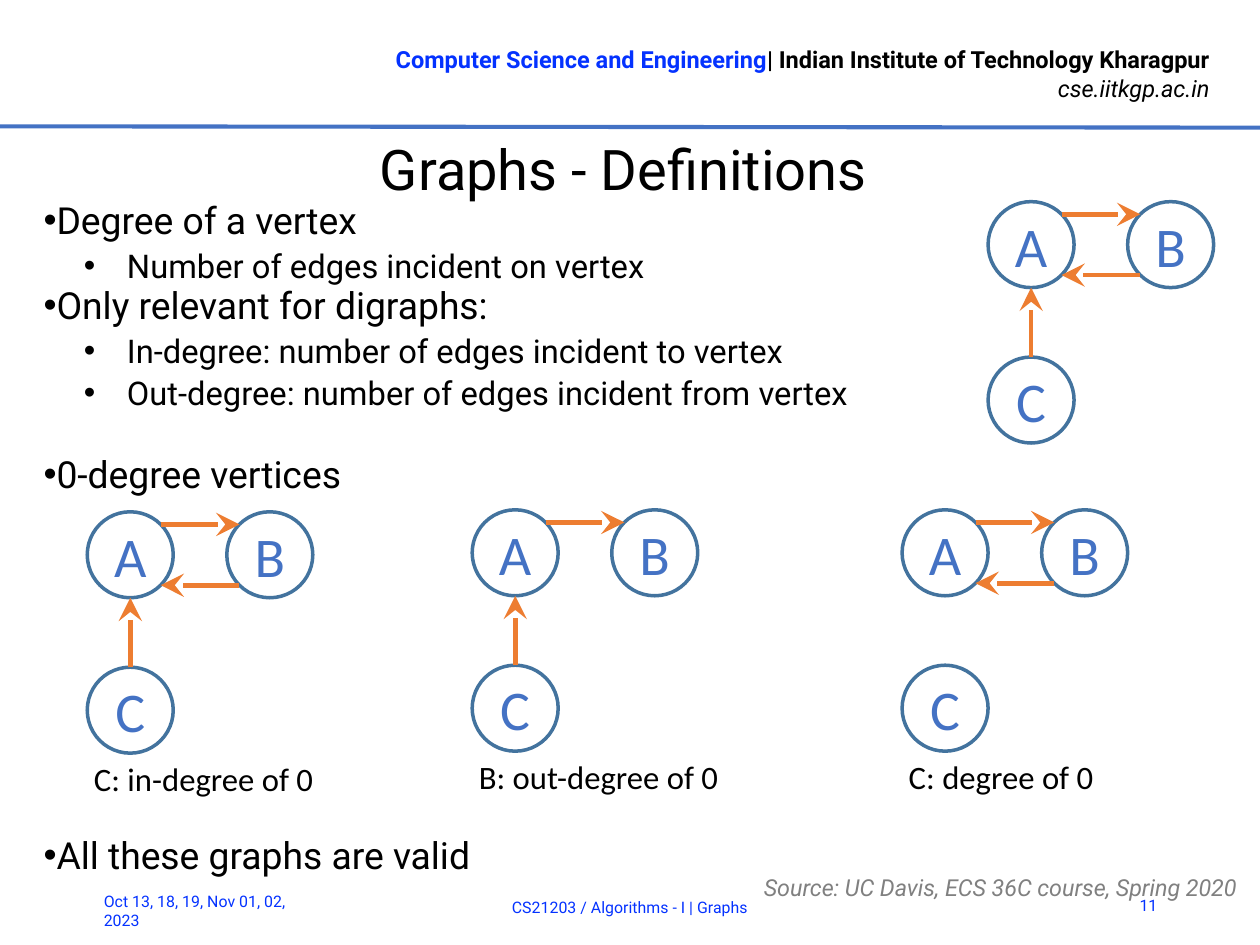
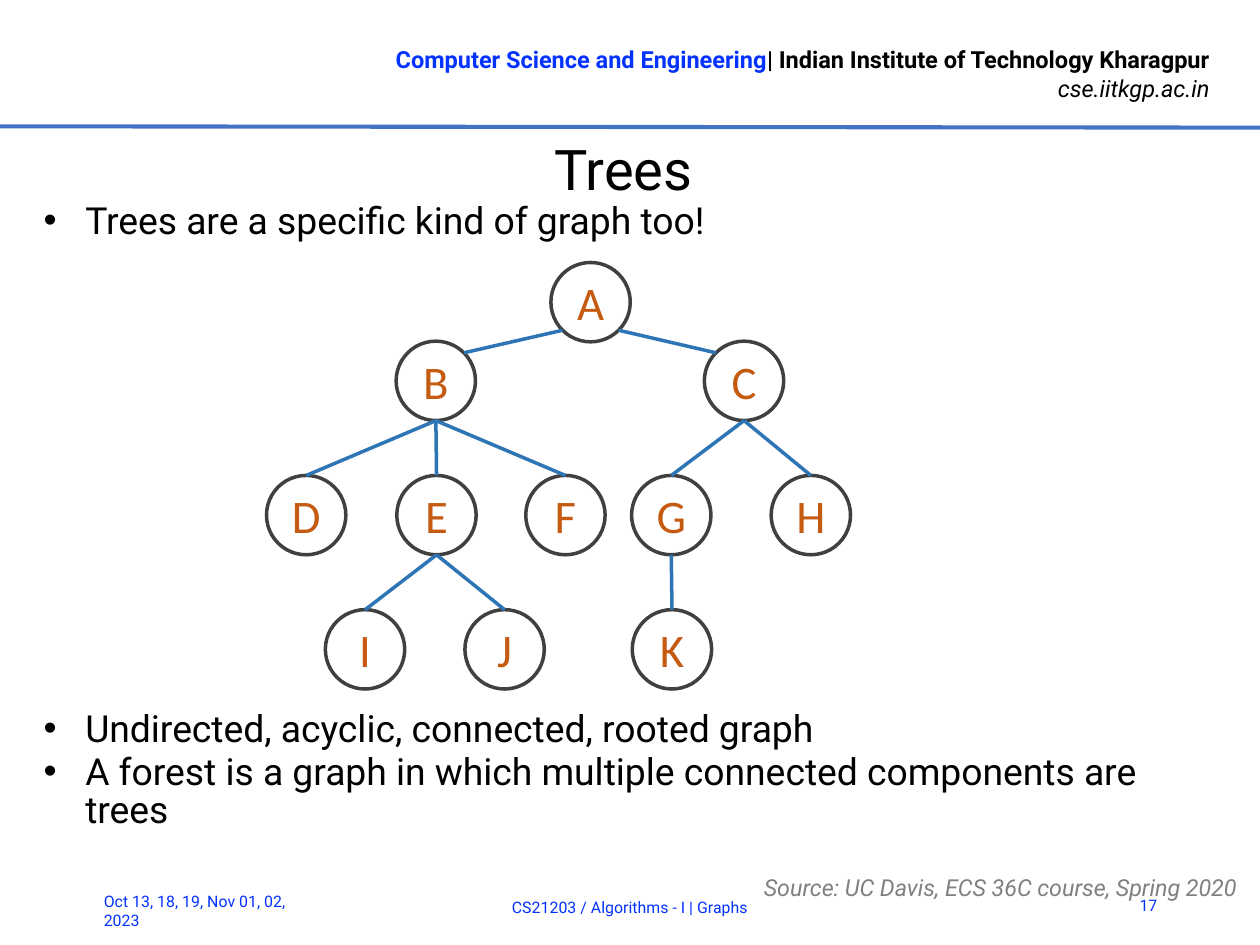
from math import cos, radians, sin

from lxml.etree import SubElement
from pptx import Presentation
from pptx.dml.color import RGBColor
from pptx.enum.shapes import MSO_CONNECTOR, MSO_SHAPE
from pptx.enum.text import MSO_ANCHOR, PP_ALIGN
from pptx.oxml.ns import qn
from pptx.util import Cm, Pt

BLACK = RGBColor(0x00, 0x00, 0x00)
GRAY = RGBColor(0x80, 0x80, 0x80)
LINK_BLUE = RGBColor(0x04, 0x32, 0xFF)
ACCENT_BLUE = RGBColor(0x44, 0x72, 0xC4)
RING_BLUE = RGBColor(0x43, 0x73, 0x9E)
ARROW_ORANGE = RGBColor(0xED, 0x7D, 0x31)
TREE_RING = RGBColor(0x40, 0x40, 0x40)
TREE_LETTER = RGBColor(0xC5, 0x5A, 0x11)
TREE_EDGE = RGBColor(0x2E, 0x75, 0xB6)

BODY_FONT = "Roboto"
NODE_FONT = "Calibri"
SLIDE_WIDTH, SLIDE_HEIGHT = Cm(19.05), Cm(14.29)
BODY_LEFT, BODY_TOP, BODY_STEP = Cm(0.41), Cm(2.97), Cm(0.64)

TOP, BOTTOM = 270, 90
TOP_RIGHT, BOTTOM_RIGHT, BOTTOM_LEFT, TOP_LEFT = 315, 45, 135, 225

TIGHT = (Cm(0), Cm(-0.66), 16)
NESTED = (Cm(1.26), Cm(-0.65), 14)
HANGING = (Cm(0.63), Cm(-0.63), 16)

A_TO_B = ("A", TOP_RIGHT, "B", TOP_LEFT)
B_TO_A = ("B", BOTTOM_LEFT, "A", BOTTOM_RIGHT)
C_TO_A = ("C", TOP, "A", BOTTOM)

TREE_ROWS = [
    (Cm(0), {"A": Cm(4.3)}),
    (Cm(1.19), {"B": Cm(1.96), "C": Cm(6.62)}),
    (Cm(3.22), {"D": Cm(0), "E": Cm(1.97), "F": Cm(3.92), "G": Cm(5.52), "H": Cm(7.63)}),
    (Cm(5.25), {"I": Cm(0.89), "J": Cm(3), "K": Cm(5.53)}),
]
TREE_EDGES = [("A", BOTTOM_LEFT, "B", TOP_RIGHT), ("A", BOTTOM_RIGHT, "C", TOP_LEFT)] + [
    (parent, BOTTOM, child, TOP)
    for parent, children in {"B": "DEF", "C": "GH", "E": "IJ", "G": "K"}.items()
    for child in children
]


def add_run(paragraph, text, size, color=BLACK, name=BODY_FONT, bold=False, italic=False):
    run = paragraph.add_run()
    run.text = text
    font = run.font
    font.name, font.size, font.bold, font.italic = name, Pt(size), bold, italic
    font.color.rgb = color


def add_box(slide, left, top, width, height, anchor=MSO_ANCHOR.TOP):
    frame = slide.shapes.add_textbox(left, top, width, height).text_frame
    frame.word_wrap = True
    frame.vertical_anchor = anchor
    return frame


def add_label(slide, box, text, size, align=PP_ALIGN.LEFT, anchor=MSO_ANCHOR.MIDDLE, **style):
    paragraph = add_box(slide, *box, anchor).paragraphs[0]
    paragraph.alignment = align
    add_run(paragraph, text, size, **style)
    return paragraph


def add_line(slide, start, end, color, width, arrow=False):
    connector = slide.shapes.add_connector(MSO_CONNECTOR.STRAIGHT, *start, *end)
    connector.line.color.rgb = color
    connector.line.width = Pt(width)
    if arrow:
        outline = connector.line._get_or_add_ln()
        SubElement(outline, qn("a:tailEnd"), type="stealth", w="lg", len="lg")
    SubElement(connector._element.spPr, qn("a:effectLst"))


def add_node(slide, left, top, diameter, letter, size, ring, color):
    node = slide.shapes.add_shape(MSO_SHAPE.OVAL, left, top, diameter, diameter)
    node.shadow.inherit = False
    node.fill.background()
    node.line.color.rgb = ring
    node.line.width = Pt(1.5)
    frame = node.text_frame
    frame.margin_left = frame.margin_right = frame.margin_top = frame.margin_bottom = Cm(0)
    frame.vertical_anchor = MSO_ANCHOR.MIDDLE
    frame.paragraphs[0].alignment = PP_ALIGN.CENTER
    add_run(frame.paragraphs[0], letter, size, color, NODE_FONT)
    return node


def rim_point(node, angle):
    radius = node.width / 2
    return (
        round(node.left + radius * (1 + cos(radians(angle)))),
        round(node.top + radius * (1 + sin(radians(angle)))),
    )


def add_edges(slide, nodes, edges, color, width, arrow=False):
    for source, source_angle, target, target_angle in edges:
        start = rim_point(nodes[source], source_angle)
        end = rim_point(nodes[target], target_angle)
        add_line(slide, start, end, color, width, arrow)


def add_bullets(slide, row, width, items):
    height = BODY_STEP * len(items) + Cm(0.25)
    frame = add_box(slide, BODY_LEFT, BODY_TOP + row * BODY_STEP, width, height)
    for index, (text, (margin, indent, size)) in enumerate(items):
        paragraph = frame.add_paragraph() if index else frame.paragraphs[0]
        properties = paragraph._p.get_or_add_pPr()
        properties.set("marL", str(margin))
        properties.set("indent", str(indent))
        SubElement(properties, qn("a:buFont"), typeface="Arial")
        SubElement(properties, qn("a:buChar"), char="•")
        paragraph.line_spacing = Pt(16.2)
        paragraph.space_before = Pt(1 if index else 0)
        paragraph.space_after = Pt(1)
        add_run(paragraph, text, size)


def add_header(slide):
    frame = add_box(slide, Cm(4.85), Cm(0.56), Cm(13.69), Cm(1.12))
    department, address = frame.paragraphs[0], frame.add_paragraph()
    department.alignment = address.alignment = PP_ALIGN.RIGHT
    add_run(department, "Computer Science and Engineering", 10.1, LINK_BLUE, bold=True)
    add_run(department, "| Indian Institute of Technology Kharagpur", 10.1, bold=True)
    add_run(address, "cse.iitkgp.ac.in", 10.1, italic=True)
    add_line(slide, (Cm(0), Cm(1.91)), (SLIDE_WIDTH, Cm(1.93)), ACCENT_BLUE, 1.75)


def add_title(slide, text):
    frame = add_box(slide, Cm(0.61), Cm(2.01), Cm(17.63), Cm(1.04), MSO_ANCHOR.MIDDLE)
    frame.margin_left = frame.margin_right = frame.margin_bottom = Cm(0)
    frame.margin_top = Cm(0.03)
    frame.paragraphs[0].alignment = PP_ALIGN.CENTER
    add_run(frame.paragraphs[0], text, 24)


def add_footer(slide, number):
    date_box = (Cm(1.32), Cm(13.39), Cm(3.33), Cm(0.76))
    course_box = (Cm(3.15), Cm(13.34), Cm(12.75), Cm(0.76))
    number_box = (Cm(16.81), Cm(13.31), Cm(0.94), Cm(0.76))
    source_box = (Cm(11.3), Cm(13.13), Cm(7.75), Cm(0.43))
    for box, text, align in (
        (date_box, "Oct 13, 18, 19, Nov 01, 02, 2023", PP_ALIGN.LEFT),
        (course_box, "CS21203 / Algorithms - I | Graphs", PP_ALIGN.CENTER),
        (number_box, str(number), PP_ALIGN.RIGHT),
    ):
        add_label(slide, box, text, 6.8, align, color=LINK_BLUE)
    credit = "Source: UC Davis, ECS 36C course, Spring 2020"
    source = add_label(slide, source_box, credit, 10, color=GRAY, italic=True)
    source.line_spacing = Pt(16)


def add_lecture_slide(presentation, title, number):
    slide = presentation.slides.add_slide(presentation.slide_layouts[6])
    add_header(slide)
    add_title(slide, title)
    add_footer(slide, number)
    return slide


def add_digraph(slide, left, top, edges, caption=None):
    offsets = {"A": (Cm(0), Cm(0)), "B": (Cm(2.11), Cm(0)), "C": (Cm(0), Cm(2.35))}
    nodes = {
        letter: add_node(slide, left + x, top + y, Cm(1.3), letter, 24, RING_BLUE, ACCENT_BLUE)
        for letter, (x, y) in offsets.items()
    }
    add_edges(slide, nodes, edges, ARROW_ORANGE, 2, arrow=True)
    if caption:
        box = (left - Cm(0.15), top + Cm(3.61), Cm(4.6), Cm(0.86))
        add_label(slide, box, caption, 14, anchor=MSO_ANCHOR.TOP, name=NODE_FONT)


def add_tree(slide, left, top):
    nodes = {
        letter: add_node(slide, left + x, top + y, Cm(1.2), letter, 20, TREE_RING, TREE_LETTER)
        for y, row in TREE_ROWS
        for letter, x in row.items()
    }
    add_edges(slide, nodes, TREE_EDGES, TREE_EDGE, 1.5)


def add_definitions_slide(presentation):
    slide = add_lecture_slide(presentation, "Graphs - Definitions", 11)
    width = Cm(13.92)
    add_bullets(slide, 0, width, [
        ("Degree of a vertex", TIGHT),
        ("Number of edges incident on vertex", NESTED),
        ("Only relevant for digraphs:", TIGHT),
        ("In-degree: number of edges incident to vertex", NESTED),
        ("Out-degree: number of edges incident from vertex", NESTED),
    ])
    add_bullets(slide, 6, width, [("0-degree vertices", TIGHT)])
    add_bullets(slide, 15, width, [("All these graphs are valid", TIGHT)])
    add_digraph(slide, Cm(14.94), Cm(3.05), [A_TO_B, B_TO_A, C_TO_A])
    add_digraph(slide, Cm(1.32), Cm(7.74), [A_TO_B, B_TO_A, C_TO_A], "C: in-degree of 0")
    add_digraph(slide, Cm(7.14), Cm(7.71), [A_TO_B, C_TO_A], "B: out-degree of 0")
    add_digraph(slide, Cm(13.64), Cm(7.71), [A_TO_B, B_TO_A], "C: degree of 0")


def add_trees_slide(presentation):
    slide = add_lecture_slide(presentation, "Trees", 17)
    width = Cm(18.03)
    add_bullets(slide, 0, width, [("Trees are a specific kind of graph too!", HANGING)])
    add_bullets(slide, 12, width, [
        ("Undirected, acyclic, connected, rooted graph", HANGING),
        ("A forest is a graph in which multiple connected components are trees", HANGING),
    ])
    add_tree(slide, Cm(4.03), Cm(3.97))


def main():
    presentation = Presentation()
    presentation.slide_width, presentation.slide_height = SLIDE_WIDTH, SLIDE_HEIGHT
    add_definitions_slide(presentation)
    add_trees_slide(presentation)
    presentation.save("out.pptx")


if __name__ == "__main__":
    main()
